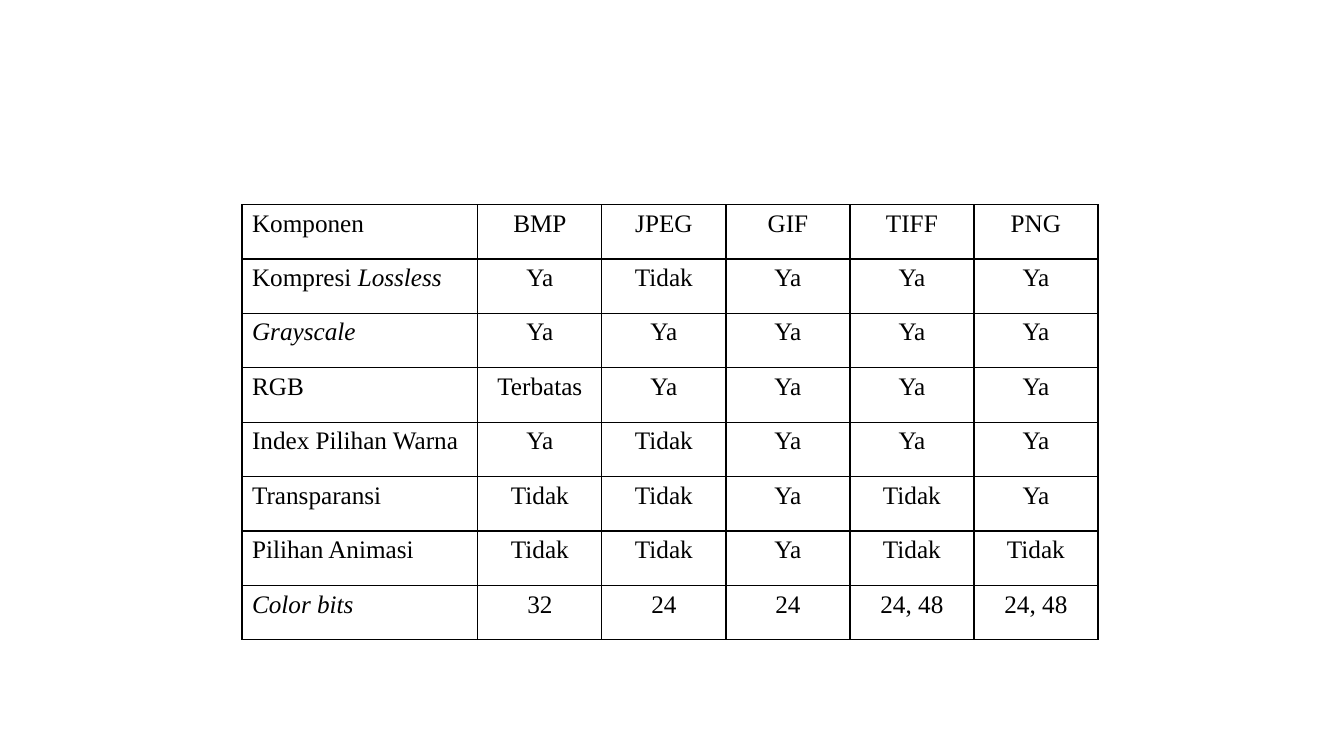
from dataclasses import dataclass

from pptx import Presentation
from pptx import util as u
from pptx.dml.color import RGBColor
from pptx.enum import text
from pptx.oxml import parse_xml
from pptx.oxml.ns import nsdecls

FORMATS = ["BMP", "JPEG", "GIF", "TIFF", "PNG"]
COMPONENTS = [
    ("Komponen", "", FORMATS),
    ("Kompresi ", "Lossless", ["Ya", "Tidak", "Ya", "Ya", "Ya"]),
    ("", "Grayscale", ["Ya", "Ya", "Ya", "Ya", "Ya"]),
    ("RGB", "", ["Terbatas", "Ya", "Ya", "Ya", "Ya"]),
    ("Index Pilihan Warna", "", ["Ya", "Tidak", "Ya", "Ya", "Ya"]),
    ("Transparansi", "", ["Tidak", "Tidak", "Ya", "Tidak", "Ya"]),
    ("Pilihan Animasi", "", ["Tidak", "Tidak", "Ya", "Tidak", "Tidak"]),
    ("", "Color bits", ["32", "24", "24", "24, 48", "24, 48"]),
]


@dataclass(frozen=True)
class Theme:
    font: str = "Times New Roman"
    size: int = 18
    ink: str = "000000"
    border: int = 1


THEME = Theme()
LEFT, TOP = 2.4, 2.03
LABEL_WIDTH, FORMAT_WIDTH, ROW_HEIGHT = 2.34, 1.23, 0.54


def add_text(paragraph, content, italic=None, align=None):
    paragraph.alignment = align
    run = paragraph.add_run()
    run.text = content
    run.font.name = THEME.font
    run.font.size = u.Pt(THEME.size)
    run.font.color.rgb = RGBColor.from_string(THEME.ink)
    run.font.italic = italic


def style_cell(cell):
    properties = cell._tc.get_or_add_tcPr()
    for side in ("lnL", "lnR", "lnT", "lnB"):
        properties.append(parse_xml(
            f'<a:{side} {nsdecls("a")} w="{u.Pt(THEME.border)}">'
            f'<a:solidFill><a:srgbClr val="{THEME.ink}"/></a:solidFill></a:{side}>'
        ))
    cell.fill.background()


def add_comparison(slide):
    row_count, column_count = len(COMPONENTS), len(FORMATS) + 1
    widths = [LABEL_WIDTH] + [FORMAT_WIDTH] * len(FORMATS)
    frame = slide.shapes.add_table(
        row_count, column_count, u.Inches(LEFT), u.Inches(TOP),
        u.Inches(sum(widths)), u.Inches(ROW_HEIGHT * row_count),
    )
    table = frame.table
    table.first_row = table.horz_banding = False
    for column, width in zip(table.columns, widths):
        column.width = u.Inches(width)
    for row, (plain, italic, values) in zip(table.rows, COMPONENTS):
        row.height = u.Inches(ROW_HEIGHT)
        label, *value_cells = row.cells
        label_paragraph = label.text_frame.paragraphs[0]
        if plain:
            add_text(label_paragraph, plain)
        if italic:
            add_text(label_paragraph, italic, italic=True)
        for cell, value in zip(value_cells, values):
            add_text(cell.text_frame.paragraphs[0], value, align=text.PP_ALIGN.CENTER)
        for cell in row.cells:
            style_cell(cell)


def main():
    presentation = Presentation()
    presentation.slide_width = u.Inches(13.33)
    presentation.slide_height = u.Inches(7.5)
    slide = presentation.slides.add_slide(presentation.slide_layouts[6])
    add_comparison(slide)
    presentation.save("out.pptx")


if __name__ == "__main__":
    main()
